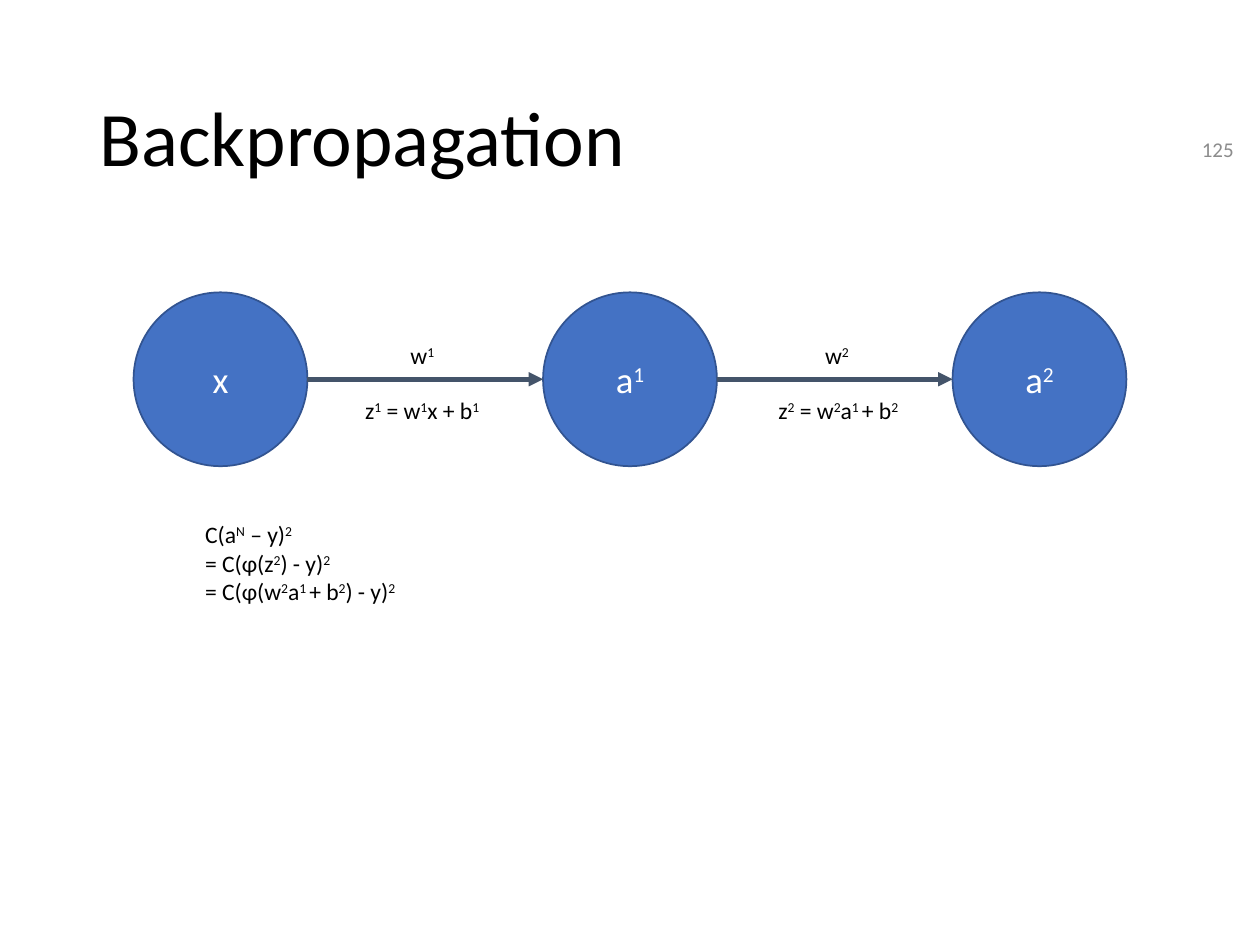
from lxml import etree
from pptx import Presentation
from pptx.dml.color import RGBColor
from pptx.enum.shapes import MSO_CONNECTOR, MSO_SHAPE
from pptx.enum.text import MSO_ANCHOR, MSO_AUTO_SIZE, PP_ALIGN
from pptx.oxml.ns import qn
from pptx.util import Inches, Pt

LEFT, CENTER, RIGHT = PP_ALIGN.LEFT, PP_ALIGN.CENTER, PP_ALIGN.RIGHT
TOP, MIDDLE = MSO_ANCHOR.TOP, MSO_ANCHOR.MIDDLE
NO_FIT = MSO_AUTO_SIZE.NONE
OVAL = MSO_SHAPE.OVAL
STRAIGHT = MSO_CONNECTOR.STRAIGHT

SIZE, STEP, START, ROW = 1.38, 3.25, 1.06, 2.32
NODES = ["x", "a^1", "a^2"]
LABELS = [
    (3.16, 2.66, 0.77, 0.33, ["w^1"]),
    (6.45, 2.66, 0.77, 0.33, ["w^2"]),
    (2.8, 3.09, 1.14, 0.33, ["z^1^ = w^1^x + b^1"]),
    (6.08, 3.09, 1.22, 0.33, ["z^2^ = w^2^a^1 ^+ b^2"]),
    (1.53, 4.08, 3.55, 1.62, [
        "C(a^N^ – y)^2",
        "= C(φ(z^2^) - y)^2",
        "= C(φ(w^2^a^1 ^+ b^2^) - y)^2",
    ]),
]


def color(code):
    """Turn a hex string into a colour."""
    return RGBColor.from_string(code)


def write(shape, lines, size, code, align=LEFT, anchor=TOP):
    """Write lines into a shape, with carets switching superscript on and off."""
    frame = shape.text_frame
    frame.word_wrap = True
    frame.auto_size = NO_FIT
    frame.vertical_anchor = anchor
    for i, line in enumerate(lines):
        para = frame.add_paragraph() if i else frame.paragraphs[0]
        para.alignment = align
        for j, part in enumerate(line.split("^")):
            if not part:
                continue
            run = para.add_run()
            run.text = part
            run.font.size = Pt(size)
            run.font.name = "Calibri"
            run.font.color.rgb = color(code)
            if j % 2:
                run.font._element.set("baseline", "30000")


def add_title(slide, text):
    """Place and fill the title."""
    title = slide.shapes.title
    title.left, title.top = Inches(0.69), Inches(0.4)
    title.width, title.height = Inches(8.62), Inches(1.45)
    write(title, [text], 44, "000000", anchor=MIDDLE)
    title.text_frame.paragraphs[0].line_spacing = 0.9


def add_label(slide, box, lines, size=13.5, code="000000", **place):
    """Add a text box."""
    label = slide.shapes.add_textbox(*map(Inches, box))
    write(label, lines, size, code, **place)


def add_node(slide, left, text):
    """Add a round network node."""
    node = slide.shapes.add_shape(OVAL, *map(Inches, (left, ROW, SIZE, SIZE)))
    node.shadow.inherit = False
    node.fill.solid()
    node.fill.fore_color.rgb = color("4472C4")
    node.line.color.rgb = color("325491")
    node.line.width = Pt(1)
    write(node, [text], 21, "FFFFFF", CENTER, MIDDLE)


def add_arrow(slide, start, end):
    """Add a level arrow between two nodes."""
    mid = ROW + SIZE / 2
    arrow = slide.shapes.add_connector(
        STRAIGHT, *map(Inches, (start, mid, end, mid)))
    arrow.line.color.rgb = color("44546A")
    arrow.line.width = Pt(2.75)
    line = arrow.line._get_or_add_ln()
    etree.SubElement(line, qn("a:tailEnd"), type="triangle")
    etree.SubElement(arrow._element.spPr, qn("a:effectLst"))


def main():
    """Build the slide and save it."""
    deck = Presentation()
    deck.slide_width, deck.slide_height = Inches(10), Inches(7.5)
    slide = deck.slides.add_slide(deck.slide_layouts[5])
    add_title(slide, "Backpropagation")
    add_label(slide, (7.64, 1.03, 2.25, 0.3), ["125"], 12, "8C8C8C",
              align=RIGHT, anchor=MIDDLE)
    spots = [START + i * STEP for i in range(len(NODES))]
    for left, text in zip(spots, NODES):
        add_node(slide, left, text)
    for left, right in zip(spots, spots[1:]):
        add_arrow(slide, left + SIZE, right)
    for *box, lines in LABELS:
        add_label(slide, box, lines)
    deck.save("out.pptx")


if __name__ == "__main__":
    main()
